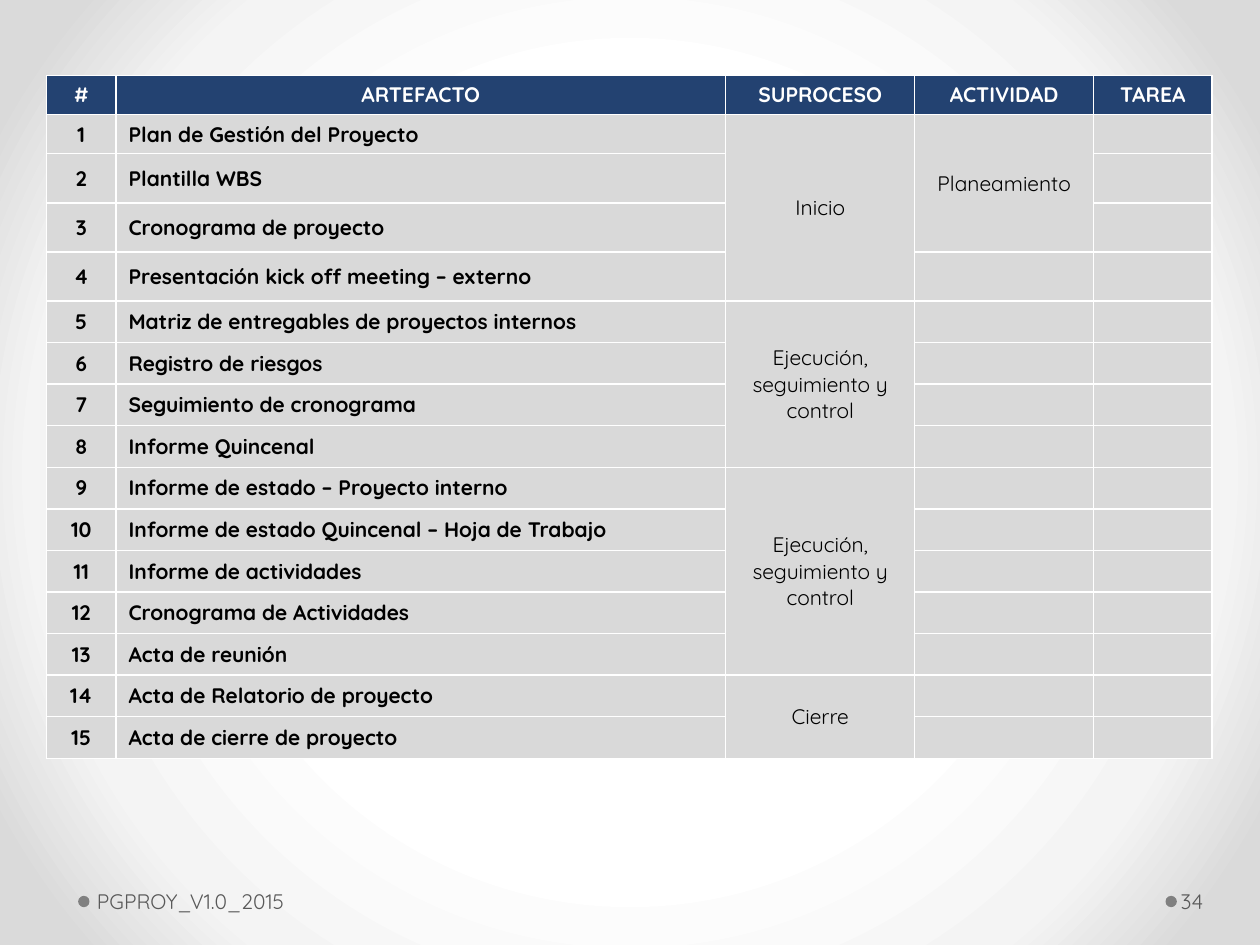
import pptx
import pptx.util
import pptx.oxml
import pptx.oxml.ns
import pptx.dml.color
import pptx.enum.shapes
import pptx.enum.text
import lxml.etree

Inches = pptx.util.Inches
ALIGN = pptx.enum.text.PP_ALIGN
MIDDLE = pptx.enum.text.MSO_ANCHOR.MIDDLE
NAMESPACE = pptx.oxml.ns.nsdecls("a", "p")


def color(value):
    return pptx.dml.color.RGBColor.from_string(value)


def write(paragraph, text, hex_color, bold=False):
    run = paragraph.add_run()
    run.text = text
    formats = {"name": "Quicksand", "size": pptx.util.Pt(12), "bold": bold}
    for name, value in formats.items():
        setattr(run.font, name, value)
    run.font.color.rgb = color(hex_color)


presentation = pptx.Presentation()
presentation.slide_width = Inches(10)
presentation.slide_height = Inches(7.5)
slide = presentation.slides.add_slide(presentation.slide_layouts[6])

stops = "".join(
    f'<a:gs pos="{position * 1000}"><a:srgbClr val="{value}"/></a:gs>'
    for position, value in [(50, "FFFFFF"), (76, "F4F4F4"), (92, "DADADA")]
)
background = pptx.oxml.parse_xml(
    f'<p:bg {NAMESPACE}><p:bgPr><a:gradFill rotWithShape="1"><a:gsLst>{stops}</a:gsLst>'
    '<a:path path="circle"><a:fillToRect l="50000" t="50000" r="50000" b="50000"/></a:path>'
    "</a:gradFill><a:effectLst/></p:bgPr></p:bg>"
)
slide.element.cSld.insert(0, background)

footers = [
    (9.25, 9.34, 0.61, "34", 0.03, 0.05),
    (0.62, 0.72, 3.96, "PGPROY_V1.0_2015", 0.05, 0.1),
]
for dot_left, left, width, text, margin_left, margin_right in footers:
    dot = slide.shapes.add_shape(
        pptx.enum.shapes.MSO_SHAPE.OVAL,
        Inches(dot_left), Inches(7.11), Inches(0.09), Inches(0.09),
    )
    dot.shadow.inherit = False
    dot.fill.solid()
    dot.fill.fore_color.rgb = color("808080")
    dot.line.fill.background()

    footer = slide.shapes.add_textbox(Inches(left), Inches(6.95), Inches(width), Inches(0.4))
    frame_formats = {
        "word_wrap": True,
        "vertical_anchor": MIDDLE,
        "margin_left": Inches(margin_left),
        "margin_right": Inches(margin_right),
    }
    for name, value in frame_formats.items():
        setattr(footer.text_frame, name, value)
    write(footer.text_frame.paragraphs[0], text, "595959")

headers = ["#", "ARTEFACTO", "SUPROCESO", "ACTIVIDAD", "TAREA"]
artifacts = [
    "Plan de Gestión del Proyecto",
    "Plantilla WBS",
    "Cronograma de proyecto",
    "Presentación kick off meeting – externo",
    "Matriz de entregables de proyectos internos",
    "Registro de riesgos",
    "Seguimiento de cronograma",
    "Informe Quincenal",
    "Informe de estado – Proyecto interno",
    "Informe de estado Quincenal – Hoja de Trabajo",
    "Informe de actividades",
    "Cronograma de Actividades",
    "Acta de reunión",
    "Acta de Relatorio de proyecto",
    "Acta de cierre de proyecto",
]
merged_cells = [
    (1, 2, 4, "Inicio"),
    (1, 3, 3, "Planeamiento"),
    (5, 2, 4, "Ejecución, seguimiento y control"),
    (9, 2, 5, "Ejecución, seguimiento y control"),
    (14, 2, 2, "Cierre"),
]
column_widths = [0.55, 4.84, 1.5, 1.42, 0.94]
row_heights = [0.31] * 2 + [0.39] * 3 + [0.33] * 11

rows = [headers] + [[str(number), name, "", "", ""] for number, name in enumerate(artifacts, 1)]
for row, column, span, text in merged_cells:
    rows[row][column] = text

table = slide.shapes.add_table(
    len(rows), len(headers), Inches(0.37), Inches(0.6),
    Inches(sum(column_widths)), Inches(sum(row_heights)),
).table
table.horz_banding = False
for column, width in zip(table.columns, column_widths):
    column.width = Inches(width)
for row, height in zip(table.rows, row_heights):
    row.height = Inches(height)

for row_index, texts in enumerate(rows):
    is_header = row_index == 0
    for column_index, text in enumerate(texts):
        cell = table.cell(row_index, column_index)
        cell.vertical_anchor = MIDDLE
        properties = cell._tc.get_or_add_tcPr()
        for side in ["lnL", "lnR", "lnT", "lnB"]:
            properties.append(pptx.oxml.parse_xml(
                f'<a:{side} {NAMESPACE} w="12700"><a:solidFill>'
                f'<a:srgbClr val="FFFFFF"/></a:solidFill></a:{side}>'
            ))
        cell.fill.solid()
        cell.fill.fore_color.rgb = color("234271" if is_header else "D9D9D9")
        paragraph = cell.text_frame.paragraphs[0]
        is_artifact = column_index == 1 and not is_header
        paragraph.alignment = ALIGN.JUSTIFY if is_artifact else ALIGN.CENTER
        if text:
            write(paragraph, text, "FFFFFF" if is_header else "000000", is_header or column_index < 2)
        else:
            lxml.etree.SubElement(paragraph._p, pptx.oxml.ns.qn("a:endParaRPr"), sz="1200")

for row, column, span, text in merged_cells:
    table.cell(row, column).merge(table.cell(row + span - 1, column))

presentation.save("out.pptx")
